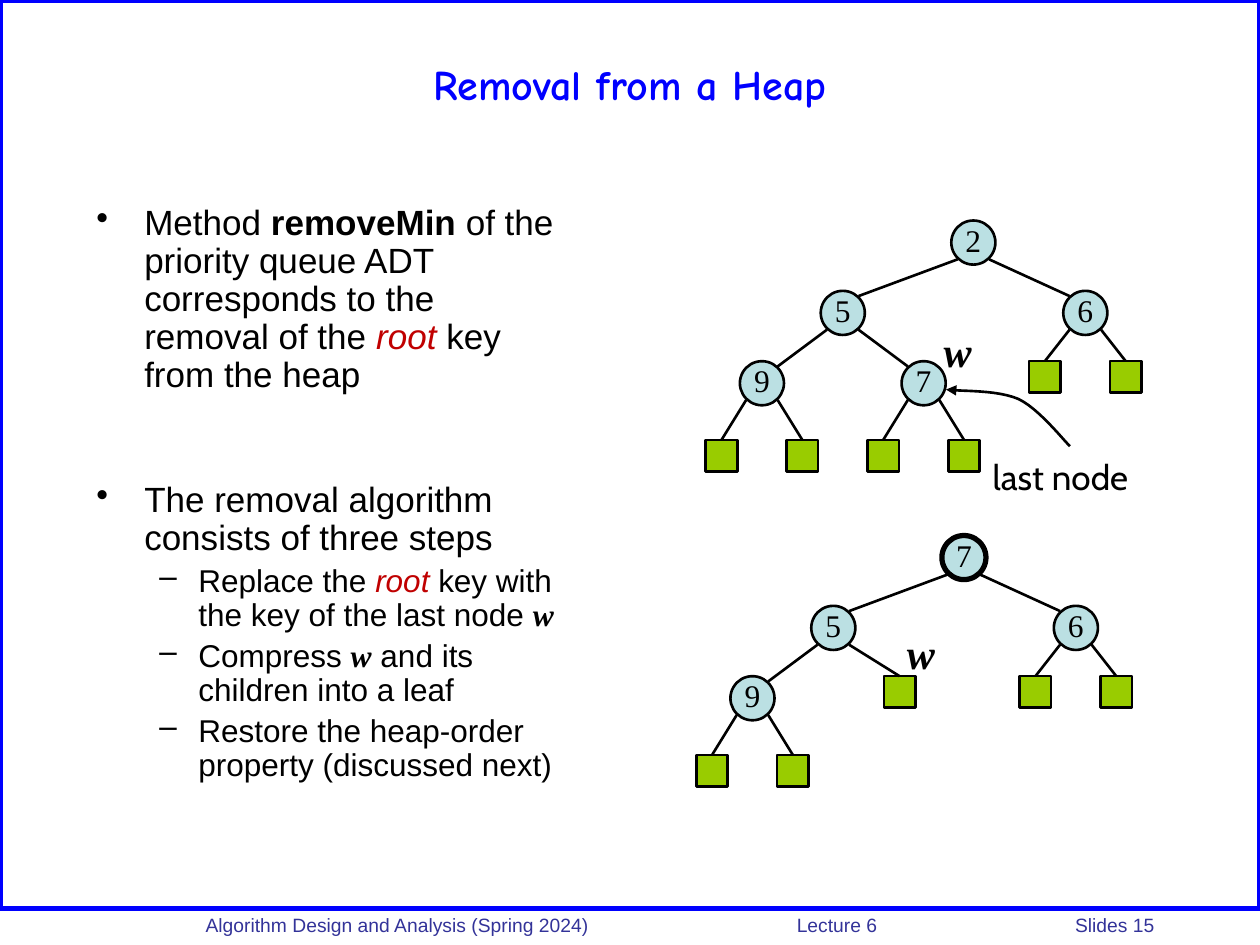
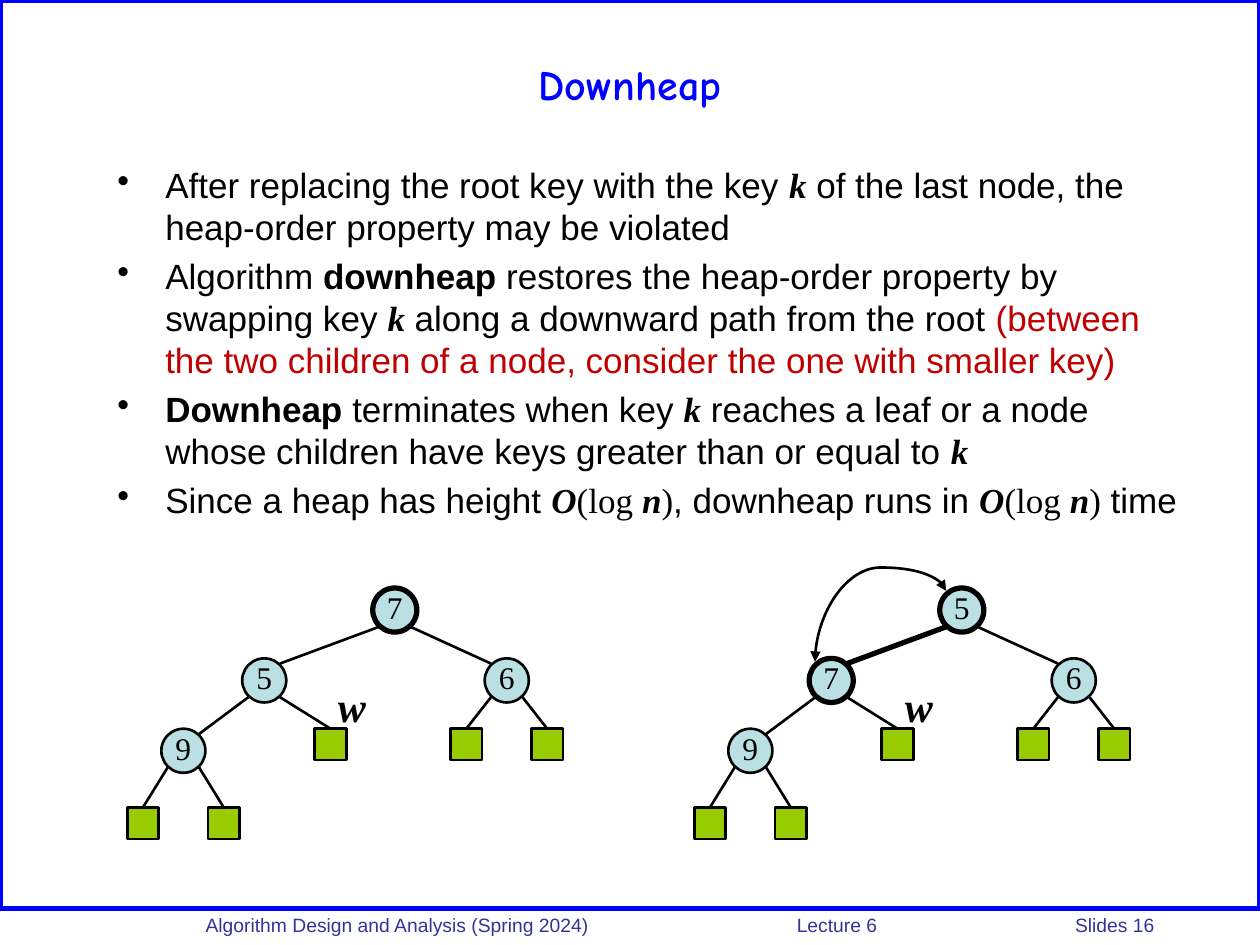
"""Builds two lecture slides on removing the minimum from a heap."""
import dataclasses
import typing

import lxml.etree
import pptx
import pptx.dml.color
import pptx.enum.shapes
import pptx.enum.text
import pptx.oxml.ns
import pptx.shapes.autoshape
import pptx.shapes.connector
import pptx.slide
import pptx.text.text
import pptx.util

COLORS = {"ink": "000000", "title": "0000FF", "footer": "333399", "accent": "C00000",
          "node": "BBE0E3", "leaf": "99CC00"}
SERIF = "Times New Roman"
STYLES: dict[str, dict[str, typing.Any]] = {
    "plain": {},
    "bold": {"bold": True},
    "accent": {"color": "accent"},
    "root": {"color": "accent", "italic": True},
    "symbol": {"font": SERIF, "bold": True, "italic": True},
    "math": {"font": SERIF},
}

COLUMNS, ROWS = 120, 90
SLIDE_WIDTH, SLIDE_HEIGHT = pptx.util.Inches(10), pptx.util.Inches(7.5)
CELL = SLIDE_WIDTH // COLUMNS
TREE_COLUMN, TREE_ROW = 3.85, 6.7
NODE_SIZE, LEAF_SIZE = 4.2, 3
ROOT_COLUMN, LEAF_DROP = 6.23, 0.12
EDGE_X, EDGE_Y = 1.5, 1.6
THIN, THICK = 1.5, 3


class Area(typing.NamedTuple):
    """A box in grid cells."""
    left: float
    top: float
    width: float
    height: float


class Span(typing.NamedTuple):
    """A stretch of text in one style."""
    text: str
    style: str = "plain"


@dataclasses.dataclass
class Bullet:
    """A bulleted paragraph."""
    spans: list[Span]
    level: int = 0
    space_before: float = 4


@dataclasses.dataclass
class Node:
    """A heap node; one without a key is a leaf."""
    column: float
    row: int
    key: str = ""
    children: list["Node"] = dataclasses.field(default_factory=list)
    thick: bool = False
    thick_edge: bool = False


@dataclasses.dataclass
class Tree:
    """A heap placed by the top left of its root, with its w label offset."""
    left: float
    top: float
    root: Node
    label_x: float = -4.5
    label_y: float = 8.2


def cells(count: float) -> pptx.util.Emu:
    """Turn grid cells into a length."""
    return pptx.util.Emu(round(count * CELL))


def rgb(name: str) -> pptx.dml.color.RGBColor:
    """Look up a colour."""
    return pptx.dml.color.RGBColor.from_string(COLORS[name])


def add_text(paragraph: pptx.text.text._Paragraph, text: str, *, font: str = "Arial",
             size: float = 20, color: str = "ink", bold: bool = False,
             italic: bool = False) -> None:
    """Add a formatted run."""
    run = paragraph.add_run()
    run.text = text
    run.font.name, run.font.size = font, pptx.util.Pt(size)
    run.font.bold, run.font.italic = bold, italic
    run.font.color.rgb = rgb(color)


def text_box(slide: pptx.slide.Slide, area: Area, wrap: bool = True,
             centered: bool = True) -> pptx.text.text.TextFrame:
    """Add an empty text box."""
    frame = slide.shapes.add_textbox(*map(cells, area)).text_frame
    frame.word_wrap = wrap
    if centered:
        frame.paragraphs[0].alignment = pptx.enum.text.PP_ALIGN.CENTER
    return frame


def add_label(slide: pptx.slide.Slide, area: Area, text: str, **style: typing.Any) -> None:
    """Add a one-line label."""
    add_text(text_box(slide, area, wrap=False).paragraphs[0], text, **style)


def add_box(slide: pptx.slide.Slide, kind: pptx.enum.shapes.MSO_SHAPE, area: Area,
            fill: str | None, line: str, width: float) -> pptx.shapes.autoshape.Shape:
    """Add an outlined preset shape."""
    shape = slide.shapes.add_shape(kind, *map(cells, area))
    shape.shadow.inherit = False
    if fill:
        shape.fill.solid()
        shape.fill.fore_color.rgb = rgb(fill)
    else:
        shape.fill.background()
    shape.line.color.rgb, shape.line.width = rgb(line), pptx.util.Pt(width)
    return shape


def add_edge(slide: pptx.slide.Slide, start: tuple[float, float], end: tuple[float, float],
             width: float = THIN, curved: bool = False) -> pptx.shapes.connector.Connector:
    """Add a black connector."""
    kinds = pptx.enum.shapes.MSO_CONNECTOR
    edge = slide.shapes.add_connector(kinds.CURVE if curved else kinds.STRAIGHT,
                                      *map(cells, (*start, *end)))
    edge.line.color.rgb, edge.line.width = rgb("ink"), pptx.util.Pt(width)
    lxml.etree.SubElement(edge.element.spPr, pptx.oxml.ns.qn("a:effectLst"))
    return edge


def add_arrowheads(shape: typing.Any, *ends: str) -> None:
    """Put triangles on the named line ends."""
    line = shape.element.spPr.find(pptx.oxml.ns.qn("a:ln"))
    for end in ends:
        lxml.etree.SubElement(line, pptx.oxml.ns.qn(f"a:{end}"), type="triangle")


def add_bullets(slide: pptx.slide.Slide, area: Area, bullets: list[Bullet],
                line_spacing: float = 1.0) -> None:
    """Fill a body box with bulleted paragraphs."""
    frame = text_box(slide, area, centered=False)
    levels = [("•", 0.38, 0.38, 20), ("–", 0.81, 0.31, 18)]
    for index, bullet in enumerate(bullets):
        paragraph = frame.add_paragraph() if index else frame.paragraphs[0]
        mark, margin, hang, size = levels[bullet.level]
        properties = paragraph._p.get_or_add_pPr()
        properties.set("marL", str(pptx.util.Inches(margin)))
        properties.set("indent", str(-pptx.util.Inches(hang)))
        lxml.etree.SubElement(properties, pptx.oxml.ns.qn("a:buChar"), char=mark)
        paragraph.line_spacing = line_spacing
        if index:
            paragraph.space_before = pptx.util.Pt(bullet.space_before)
        for span in bullet.spans:
            add_text(paragraph, span.text, size=size, **STYLES[span.style])


def draw_node(slide: pptx.slide.Slide, tree: Tree, node: Node) -> tuple[
        pptx.shapes.autoshape.Shape, float, float]:
    """Draw a node with its subtree; return its shape and centre."""
    shapes = pptx.enum.shapes.MSO_SHAPE
    x = tree.left + NODE_SIZE / 2 + (node.column - ROOT_COLUMN) * TREE_COLUMN
    top = tree.top + node.row * TREE_ROW
    if not node.key:
        drop = LEAF_DROP * TREE_ROW if node.row == 3 else 0
        area = Area(x - LEAF_SIZE / 2, top + drop, LEAF_SIZE, LEAF_SIZE)
        return add_box(slide, shapes.RECTANGLE, area, "leaf", "ink", THIN), x, top
    y = top + NODE_SIZE / 2
    circle = add_box(slide, shapes.OVAL, Area(x - NODE_SIZE / 2, top, NODE_SIZE, NODE_SIZE),
                     "node", "ink", THICK if node.thick else THIN)
    frame = circle.text_frame
    frame.margin_left = frame.margin_right = frame.margin_top = 0
    frame.margin_bottom = pptx.util.Inches(0.05)
    frame.word_wrap = False
    frame.vertical_anchor = pptx.enum.text.MSO_ANCHOR.MIDDLE
    frame.paragraphs[0].alignment = pptx.enum.text.PP_ALIGN.CENTER
    add_text(frame.paragraphs[0], node.key, font=SERIF, size=18)
    for child in node.children:
        shape, child_x, child_y = draw_node(slide, tree, child)
        side = EDGE_X if child_x > x else -EDGE_X
        edge = add_edge(slide, (child_x - side, child_y - EDGE_Y), (x + side, y + EDGE_Y),
                        THICK if child.thick_edge else THIN)
        if not child.key:
            edge.begin_connect(shape, 0)
    return circle, x, y


def draw_tree(slide: pptx.slide.Slide, tree: Tree) -> None:
    """Draw a heap and its w label."""
    draw_node(slide, tree, tree.root)
    add_label(slide, Area(tree.left + tree.label_x, tree.top + tree.label_y, 5, 6), "w",
              size=24, **STYLES["symbol"])


def heap(root: str, left: str, swapped: bool = False, last: str = "") -> Node:
    """Describe the example heap, whose last node is a leaf unless it has a key."""
    nine = Node(1, 2, "9", [Node(0, 3), Node(2, 3)])
    last_node = Node(5, 2, last, [Node(4, 3), Node(6, 3)]) if last else Node(4.64, 2)
    six = Node(9, 1, "6", [Node(8, 2), Node(10, 2)])
    return Node(ROOT_COLUMN, 0, root,
                [Node(3, 1, left, [nine, last_node], swapped, swapped), six], not last)


def add_slide(deck: typing.Any, title: str, number: int) -> pptx.slide.Slide:
    """Add a slide with frame, footer and title."""
    slide = deck.slides.add_slide(deck.slide_layouts[6])
    add_box(slide, pptx.enum.shapes.MSO_SHAPE.RECTANGLE, Area(0, 0, COLUMNS, 86.5),
            None, "title", 3)
    footer = text_box(slide, Area(18.4, 86.4, 101.6, 3.1), centered=False).paragraphs[0]
    tabs = lxml.etree.SubElement(footer._p.get_or_add_pPr(), pptx.oxml.ns.qn("a:tabLst"))
    for stop in (56.3, 82.8):
        lxml.etree.SubElement(tabs, pptx.oxml.ns.qn("a:tab"), pos=str(cells(stop)), algn="l")
    parts = ["Algorithm Design and Analysis (Spring 2024)", "Lecture 6", f"Slides {number}"]
    add_text(footer, "\t".join(parts), size=11, color="footer")
    heading = text_box(slide, Area(6, 2, 108, 12))
    heading.vertical_anchor = pptx.enum.text.MSO_ANCHOR.MIDDLE
    add_text(heading.paragraphs[0], title, font="Comic Neue", size=24, color="title", bold=True)
    return slide


def add_pointer(slide: pptx.slide.Slide) -> None:
    """Draw the curved arrow from the caption to the last node."""
    bends = [[(101.9, 42.5), (101.2, 41.8), (98.9, 38.9), (97, 38)],
             [(97, 38), (94.9, 37.1), (91.6, 37.3), (90.1, 37.1)]]
    steps = 12
    points = []
    for bend in bends:
        for step in range(steps + 1):
            t = step / steps
            weights = ((1 - t) ** 3, 3 * t * (1 - t) ** 2, 3 * t ** 2 * (1 - t), t ** 3)
            points.append(tuple(cells(sum(w * p[axis] for w, p in zip(weights, bend)))
                                for axis in (0, 1)))
    builder = slide.shapes.build_freeform(*points[0])
    builder.add_line_segments(points[1:], close=False)
    pointer = builder.convert_to_shape()
    pointer.shadow.inherit = False
    pointer.fill.background()
    pointer.line.color.rgb, pointer.line.width = rgb("ink"), pptx.util.Pt(THIN)
    add_arrowheads(pointer, "tailEnd")


def add_swap_arrow(slide: pptx.slide.Slide) -> None:
    """Draw the two-headed arc between the swapped keys."""
    arc = add_edge(slide, (87.25, 65.9), (80.5, 53.4), curved=True)
    properties = arc.element.spPr
    properties.find(pptx.oxml.ns.qn("a:xfrm")).set("rot", str(270 * 60000))
    guides = properties.find(".//" + pptx.oxml.ns.qn("a:avLst"))
    lxml.etree.SubElement(guides, pptx.oxml.ns.qn("a:gd"), name="adj1", fmla="val -33100")
    add_arrowheads(arc, "headEnd", "tailEnd")


def build_removal(deck: typing.Any) -> None:
    """Build the slide on removal."""
    slide = add_slide(deck, "Removal from a Heap", 15)
    add_bullets(slide, Area(8, 19, 46, 60), [
        Bullet([Span("Method "), Span("removeMin", "bold"),
                Span(" of the priority queue ADT corresponds to the removal of the "),
                Span("root", "root"), Span(" key from the heap")]),
        Bullet([Span("The removal algorithm consists of three steps")], space_before=50),
        Bullet([Span("Replace the "), Span("root", "root"),
                Span(" key with the key of the last node "), Span("w", "symbol")], 1),
        Bullet([Span("Compress "), Span("w", "symbol"),
                Span(" and its children into a leaf")], 1),
        Bullet([Span("Restore the heap-order property (discussed next)")], 1),
    ], line_spacing=0.9)
    draw_tree(slide, Tree(90.6, 21, heap("2", "5", last="7"), -1.9, 9.4))
    add_pointer(slide)
    add_label(slide, Area(93.1, 42.8, 15.8, 5.2), "last node", font="Cabin")
    draw_tree(slide, Tree(89.7, 51, heap("7", "5")))


def build_downheap(deck: typing.Any) -> None:
    """Build the slide on downheap."""
    slide = add_slide(deck, "Downheap", 16)
    log_n = [Span("O", "symbol"), Span("(log ", "math"), Span("n", "symbol"), Span(")", "math")]
    key = Span("k", "symbol")
    add_bullets(slide, Area(10, 15, 105, 32), [
        Bullet([Span("After replacing the root key with the key "), key,
                Span(" of the last node, the heap-order property may be violated")]),
        Bullet([Span("Algorithm "), Span("downheap", "bold"),
                Span(" restores the heap-order property by swapping key "), key,
                Span(" along a downward path from the root "),
                Span("(between the two children of a node, consider the one with "
                     "smaller key)", "accent")]),
        Bullet([Span("Downheap", "bold"), Span(" terminates when key "), key,
                Span(" reaches a leaf or a node whose children have keys greater than "
                     "or equal to "), key]),
        Bullet([Span("Since a heap has height "), *log_n, Span(", downheap runs in "),
                *log_n, Span(" time")]),
    ])
    draw_tree(slide, Tree(35.5, 56, heap("7", "5")))
    draw_tree(slide, Tree(89.5, 56, heap("5", "7", swapped=True)))
    add_swap_arrow(slide)


def main() -> None:
    """Build and save the deck."""
    deck = pptx.Presentation()
    deck.slide_width, deck.slide_height = SLIDE_WIDTH, SLIDE_HEIGHT
    build_removal(deck)
    build_downheap(deck)
    deck.save("out.pptx")


if __name__ == "__main__":
    main()
